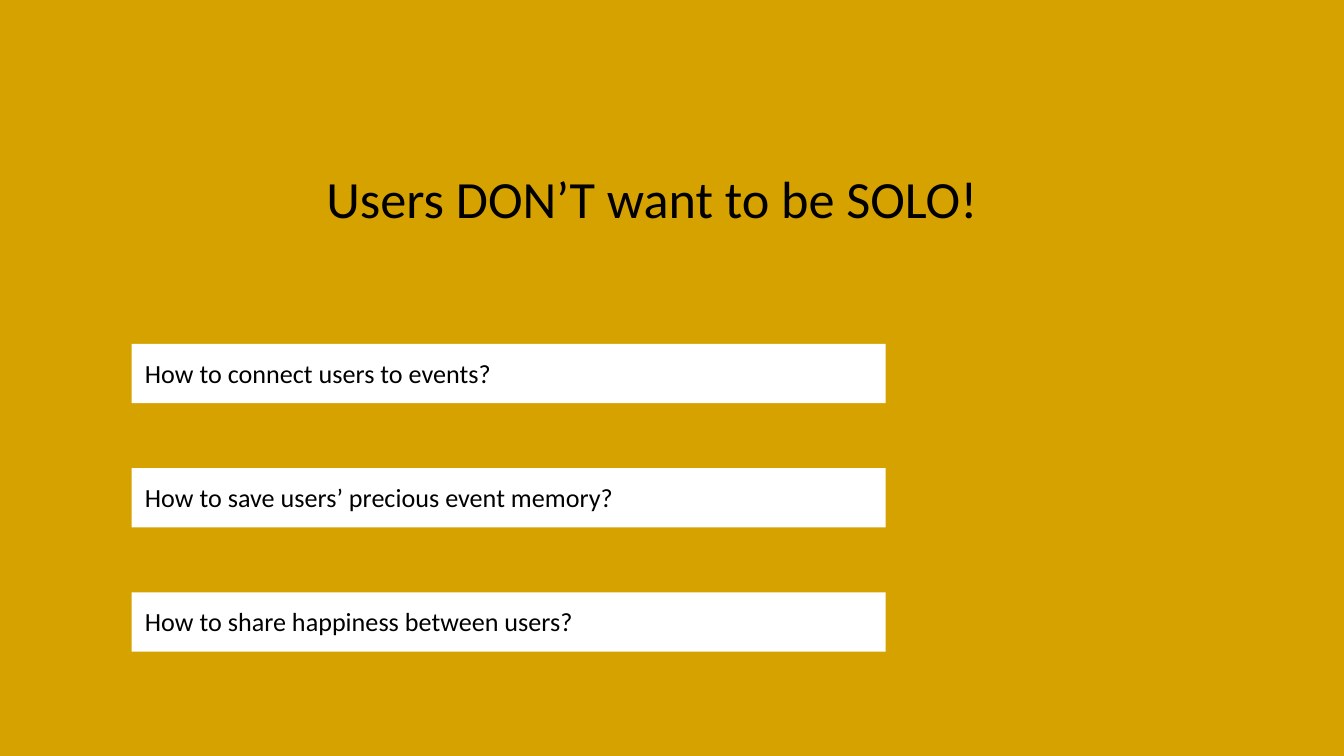
from dataclasses import dataclass

from pptx import Presentation
from pptx.dml.color import RGBColor
from pptx.enum.shapes import MSO_SHAPE
from pptx.enum.text import MSO_ANCHOR, MSO_AUTO_SIZE, PP_ALIGN
from pptx.shapes.autoshape import Shape
from pptx.slide import Slide
from pptx.util import Cm, Pt

GOLD = RGBColor(0xD6, 0xA2, 0x00)
WHITE = RGBColor(0xFF, 0xFF, 0xFF)
BLACK = RGBColor(0x00, 0x00, 0x00)
FONT = "Calibri"
WIDTH = 14.25
INSET = Cm(0.25)


@dataclass
class Label:
    text: str
    left: float
    top: float
    height: float
    size: int


TITLE = Label("Users DON’T want to be SOLO!", 5.92, 2.9, 1.7, 28)
ASKS = [
    "How to connect users to events?",
    "How to save users’ precious event memory?",
    "How to share happiness between users?",
]
BARS = [Label(ask, 2.49, 6.5 + 2.35 * row, 1.12, 14)
        for row, ask in enumerate(ASKS)]


def place(label: Label) -> tuple[Cm, Cm, Cm, Cm]:
    return Cm(label.left), Cm(label.top), Cm(WIDTH), Cm(label.height)


def write(shape: Shape, label: Label) -> None:
    frame = shape.text_frame
    frame.word_wrap = True
    frame.auto_size = MSO_AUTO_SIZE.SHAPE_TO_FIT_TEXT
    frame.vertical_anchor = MSO_ANCHOR.TOP
    frame.margin_left = frame.margin_right = INSET
    frame.margin_top = frame.margin_bottom = INSET
    para = frame.paragraphs[0]
    para.alignment = PP_ALIGN.LEFT
    run = para.add_run()
    run.text = label.text
    run.font.name = FONT
    run.font.size = Pt(label.size)
    run.font.color.rgb = BLACK


def add_bar(slide: Slide, label: Label) -> None:
    bar = slide.shapes.add_shape(MSO_SHAPE.RECTANGLE, *place(label))
    bar.shadow.inherit = False
    bar.fill.solid()
    bar.fill.fore_color.rgb = WHITE
    bar.line.fill.background()
    write(bar, label)


def main() -> None:
    deck = Presentation()
    deck.slide_width, deck.slide_height = Cm(25.4), Cm(14.29)
    slide = deck.slides.add_slide(deck.slide_layouts[6])
    slide.background.fill.solid()
    slide.background.fill.fore_color.rgb = GOLD
    for bar in BARS:
        add_bar(slide, bar)
    write(slide.shapes.add_textbox(*place(TITLE)), TITLE)
    deck.save("out.pptx")


if __name__ == "__main__":
    main()
